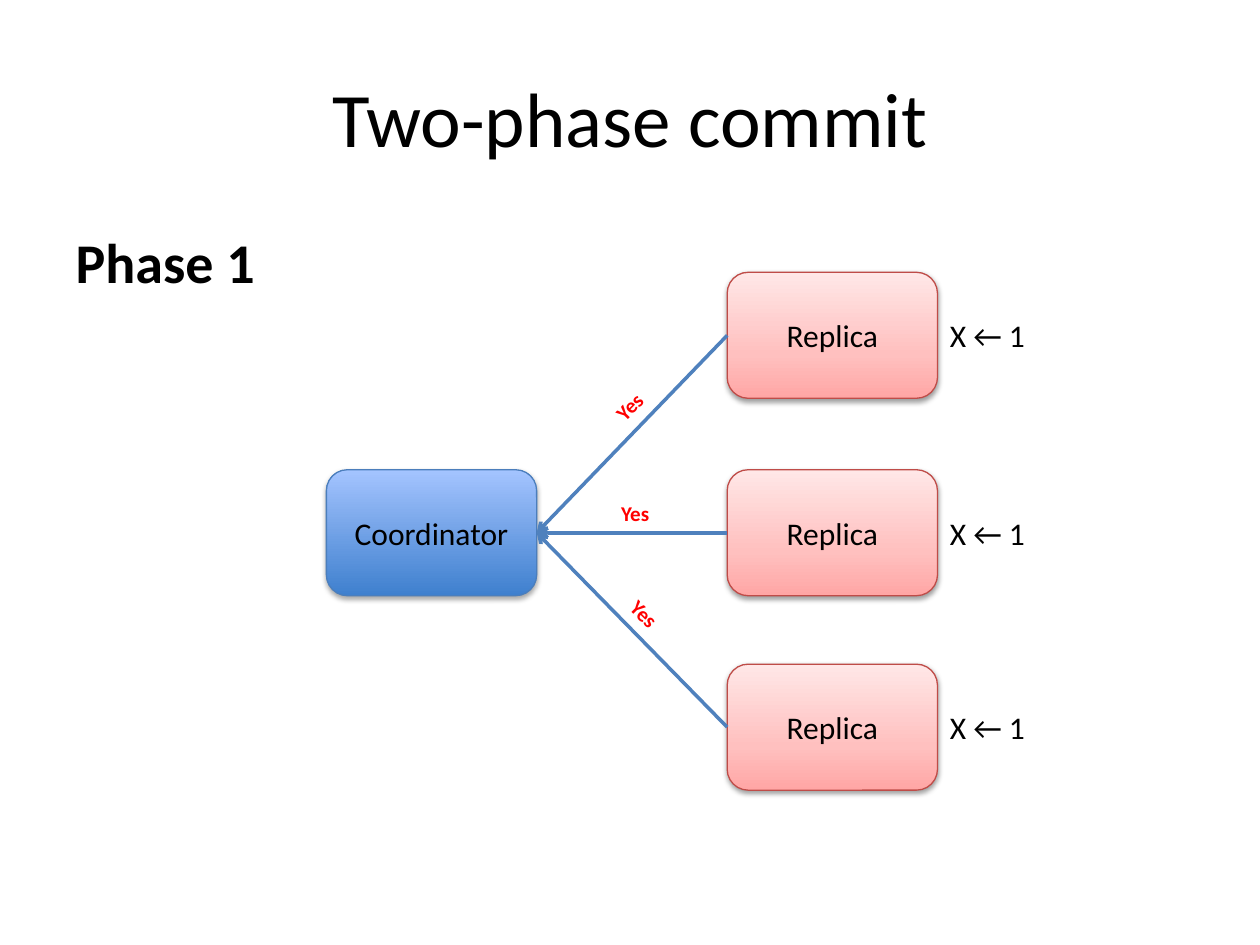
"""Build the slide on phase 1 of a two-phase commit."""
from lxml.etree import SubElement
from pptx import Presentation
from pptx.dml.color import RGBColor
from pptx.enum.shapes import MSO_CONNECTOR as Connector, MSO_SHAPE as Shape
from pptx.enum.text import MSO_ANCHOR as Anchor, MSO_AUTO_SIZE as AutoSize, PP_ALIGN as Align
from pptx.oxml.ns import qn
from pptx.util import Cm, Pt


def color(value):
    """Return the colour for a hex string."""
    return RGBColor.from_string(value)


def write(shape, text, size, value="000000", bold=False, align=Align.LEFT):
    """Write one formatted run into a shape and return its paragraph."""
    paragraph = shape.text_frame.paragraphs[0]
    paragraph.alignment = align
    run = paragraph.add_run()
    run.text = text
    run.font.name = "Calibri"
    run.font.size = Pt(size)
    run.font.bold = bold
    run.font.color.rgb = color(value)
    return paragraph


BLUE_STOPS = [(0, "3F80CE"), (100, "A4C4FF")]
RED_STOPS = [(0, "FFA6A5"), (35, "FFC0BF"), (100, "FFE7E7")]
BOX_WIDTH, BOX_HEIGHT = Cm(4.24), Cm(2.54)
REPLICA_LEFT = Cm(14.66)
REPLICA_TOPS = [Cm(5.49), Cm(9.47), Cm(13.39)]

presentation = Presentation()
presentation.slide_width, presentation.slide_height = Cm(25.4), Cm(19.05)
slide = presentation.slides.add_slide(presentation.slide_layouts[1])

title, body = slide.placeholders
title.left, title.top, title.width, title.height = Cm(1.27), Cm(0.76), Cm(22.86), Cm(3.18)
title.text_frame.vertical_anchor = Anchor.MIDDLE
write(title, "Two-phase commit", 44, align=Align.CENTER)

body.left, body.top, body.width, body.height = Cm(1.27), Cm(4.45), Cm(22.86), Cm(12.57)
properties = write(body, "Phase 1", 32, bold=True)._p.get_or_add_pPr()
properties.set("marL", "0")
properties.set("indent", "0")
SubElement(properties, qn("a:buNone"))

boxes = [("Coordinator", Cm(6.58), REPLICA_TOPS[1], BLUE_STOPS, "4B7EBC", 35, 1.8)]
boxes += [("Replica", REPLICA_LEFT, top, RED_STOPS, "BF4C48", 38, 1.6) for top in REPLICA_TOPS]
nodes = []
for name, left, top, stops, outline, opacity, distance in boxes:
    node = slide.shapes.add_shape(Shape.ROUNDED_RECTANGLE, left, top, BOX_WIDTH, BOX_HEIGHT)
    node.fill.gradient()
    node.fill.gradient_angle = 90
    stop_list = node._element.spPr.find(".//" + qn("a:gsLst"))
    for old_stop in list(stop_list):
        stop_list.remove(old_stop)
    for position, value in stops:
        stop = SubElement(stop_list, qn("a:gs"), pos=str(position * 1000))
        SubElement(stop, qn("a:srgbClr"), val=value)
    node.line.color.rgb = color(outline)
    node.line.width = Pt(0.75)
    node.shadow.inherit = False
    effects = node._element.spPr.find(qn("a:effectLst"))
    shadow = SubElement(effects, qn("a:outerShdw"), blurRad=str(Pt(3.1)),
                        dist=str(Pt(distance)), dir="5400000", rotWithShape="0")
    shade = SubElement(shadow, qn("a:srgbClr"), val="000000")
    SubElement(shade, qn("a:alpha"), val=str(opacity * 1000))
    node.text_frame.vertical_anchor = Anchor.MIDDLE
    write(node, name, 18, align=Align.CENTER)
    nodes.append(node)

coordinator, *replicas = nodes
for replica in replicas:
    arrow = slide.shapes.add_connector(Connector.STRAIGHT, 0, 0, 0, 0)
    arrow.begin_connect(coordinator, 3)
    arrow.end_connect(replica, 1)
    arrow.line.color.rgb = color("4F81BD")
    arrow.line.width = Pt(2)
    SubElement(arrow.line._get_or_add_ln(), qn("a:headEnd"), type="arrow")
    SubElement(arrow._element.spPr, qn("a:effectLst"))

votes = [(12.14, 7.8, 314.5), (12.27, 9.96, 0), (12.45, 12.01, 45.1)]
labels = [("Yes", Cm(left), Cm(top), Cm(1.12), Cm(0.76), angle, 12, "FF0000", True)
          for left, top, angle in votes]
labels += [("X ← 1", REPLICA_LEFT + BOX_WIDTH, top + Cm(0.76), Cm(2.08), Cm(1.02), 0, 18, "000000", False)
           for top in REPLICA_TOPS]
for text, left, top, width, height, angle, size, value, bold in labels:
    label = slide.shapes.add_textbox(left, top, width, height)
    label.rotation = angle
    label.text_frame.word_wrap = False
    label.text_frame.auto_size = AutoSize.SHAPE_TO_FIT_TEXT
    write(label, text, size, value, bold)

presentation.save("out.pptx")
